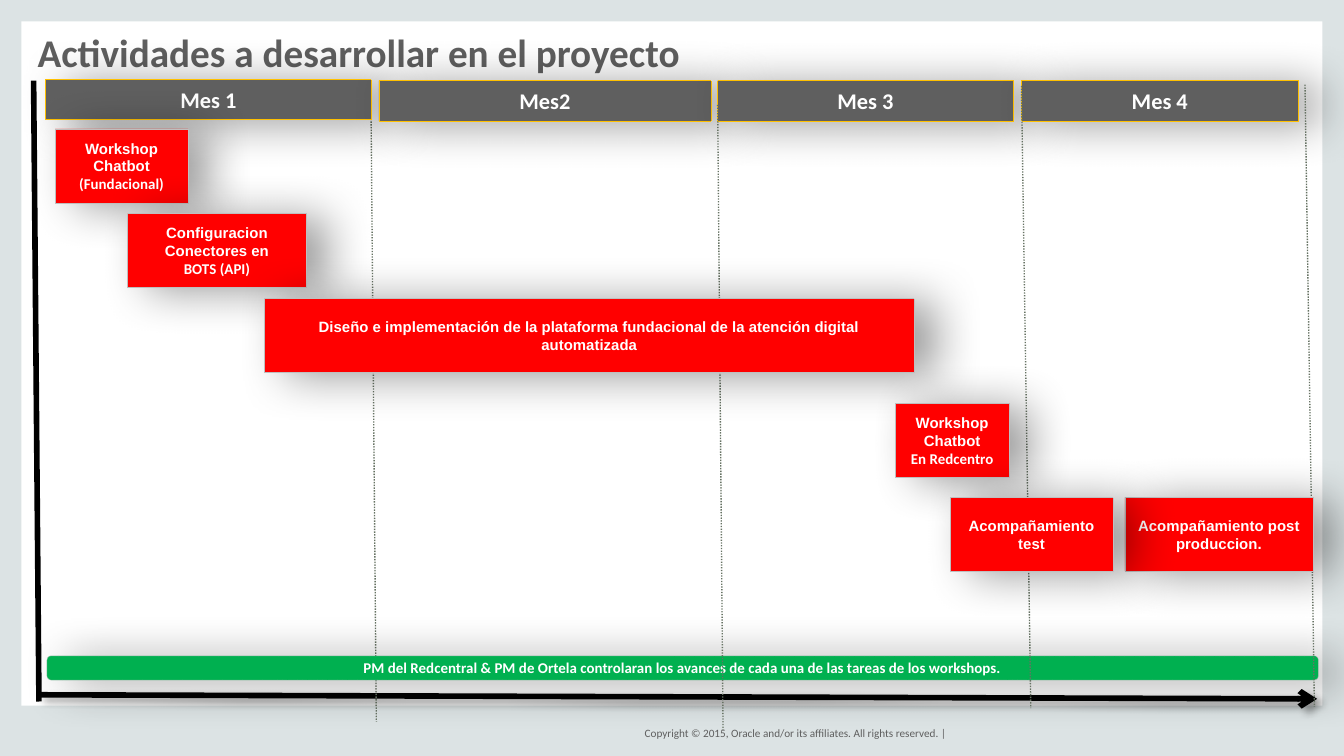
from lxml import etree
from pptx import Presentation
from pptx import util as u
from pptx.dml.color import RGBColor
from pptx.enum import dml, shapes, text
from pptx.oxml.ns import qn

FRAME, GREY, GOLD = "DCE3E4", "5F5F5F", "FFC000"
RED, GREEN, SILVER = "FF0000", "00B050", "BFBFBF"
BLACK, WHITE, DIVIDER = "000000", "FFFFFF", "667263"


def colour(value):
    return RGBColor.from_string(value)


def write(para, words, size=8, font="Calibri", tint=WHITE, bold=True,
          align=text.PP_ALIGN.CENTER):
    para.alignment = align
    span = para.add_run()
    span.text = words
    span.font.size = u.Pt(size)
    span.font.name = font
    span.font.bold = bold
    span.font.color.rgb = colour(tint)


def add_effects(element, blur=None, distance=0, angle=0):
    """Set an outer shadow, or no effect at all when blur is None."""
    effects = etree.SubElement(element._element.spPr, qn("a:effectLst"))
    if blur is not None:
        shadow = etree.SubElement(
            effects, qn("a:outerShdw"), blurRad=str(u.Pt(blur)),
            dist=str(u.Pt(distance)), dir=str(angle * 60000),
            algn="tl", rotWithShape="0")
        tint = etree.SubElement(shadow, qn("a:srgbClr"), val=BLACK)
        etree.SubElement(tint, qn("a:alpha"), val="40000")


class Roadmap:
    """Style and current page of the project plan."""

    def __init__(self, page):
        self.page = page

    def band(self, *place):
        box = self.page.shapes.add_shape(
            shapes.MSO_SHAPE.RECTANGLE, *map(u.Inches, place))
        box.shadow.inherit = False
        box.fill.solid()
        box.fill.fore_color.rgb = colour(FRAME)
        box.line.fill.background()

    def label(self, place, words, anchor, wrap=True, **style):
        box = self.page.shapes.add_textbox(*map(u.Inches, place))
        frame = box.text_frame
        frame.word_wrap = wrap
        frame.vertical_anchor = anchor
        frame.margin_left = frame.margin_right = 0
        frame.margin_top = frame.margin_bottom = 0
        write(frame.paragraphs[0], words, **style)

    def bar(self, place, lines, fill, edge=SILVER, corner=0):
        """Draw a shadowed bar; lines holds (words, format) pairs."""
        box = self.page.shapes.add_shape(
            shapes.MSO_SHAPE.ROUNDED_RECTANGLE, *map(u.Inches, place))
        box.adjustments[0] = corner
        box.fill.solid()
        box.fill.fore_color.rgb = colour(fill)
        box.line.color.rgb = colour(edge)
        box.line.width = u.Pt(0.25)
        box.line.dash_style = dml.MSO_LINE.ROUND_DOT
        add_effects(box, blur=25, distance=11, angle=10)
        frame = box.text_frame
        frame.word_wrap = True
        frame.vertical_anchor = text.MSO_ANCHOR.MIDDLE
        frame.margin_left = frame.margin_right = u.Inches(0.08)
        frame.margin_top = frame.margin_bottom = u.Inches(0.04)
        for index, (words, style) in enumerate(lines):
            para = frame.add_paragraph() if index else frame.paragraphs[0]
            write(para, words, **style)

    def line(self, start, end, tint=BLACK, width=3, dotted=False, arrow=False):
        link = self.page.shapes.add_connector(
            shapes.MSO_CONNECTOR.STRAIGHT, *map(u.Inches, start + end))
        link.line.color.rgb = colour(tint)
        link.line.width = u.Pt(width)
        if dotted:
            link.line.dash_style = dml.MSO_LINE.ROUND_DOT
        if arrow:
            stroke = link._element.spPr.find(qn("a:ln"))
            etree.SubElement(stroke, qn("a:tailEnd"), type="arrow")
            add_effects(link, blur=4, distance=3, angle=45)
        else:
            add_effects(link)

    def divider(self, left, top, right, bottom):
        self.line((left, top), (right, bottom), DIVIDER, 0.75, dotted=True)


def main():
    deck = Presentation()
    deck.slide_width = u.Inches(10)
    deck.slide_height = u.Inches(10) * 9 // 16  # widescreen
    plan = Roadmap(deck.slides.add_slide(deck.slide_layouts[6]))

    # Frame and footer
    for place in ((0, 0, 0.16, 5.62), (9.84, 0, 0.16, 5.62),
                  (0, 5.25, 10, 0.38), (0, 0, 10, 0.16)):
        plan.band(*place)
    plan.label((4.41, 5.38, 2.63, 0.15),
               "Copyright © 2015, Oracle and/or its affiliates. "
               "All rights reserved. |",
               text.MSO_ANCHOR.MIDDLE, wrap=False, size=6, tint=GREY,
               bold=False, align=text.PP_ALIGN.RIGHT)

    # Title
    plan.label((0.28, 0.21, 9.52, 0.36),
               "Actividades a desarrollar en el proyecto",
               text.MSO_ANCHOR.TOP, size=21, tint=GREY,
               align=text.PP_ALIGN.LEFT)

    # Axes and first divider
    plan.line((0.3, 5.17), (9.8, 5.2), arrow=True)
    plan.line((0.25, 0.6), (0.29, 5.22))
    plan.divider(2.76, 0.72, 2.8, 5.37)

    # Control bar
    plan.bar((0.35, 4.88, 9.46, 0.18),
             [("PM del Redcentral & PM de Ortela controlaran los avances de "
               "cada una de las tareas de los workshops.", {})],
             GREEN, corner=0.17)

    # Months
    for name, left, top, width in (("Mes 1", 0.34, 0.59, 2.42),
                                   ("Mes2", 2.82, 0.6, 2.47),
                                   ("Mes 3", 5.34, 0.6, 2.2),
                                   ("Mes 4", 7.6, 0.6, 2.06)):
        plan.bar((left, top, width, 0.3), [(name, {"size": 12})], GREY, GOLD)

    # Remaining dividers
    plan.divider(9.71, 0.63, 9.78, 5.26)
    plan.divider(5.34, 0.78, 5.38, 5.43)
    plan.divider(7.6, 0.64, 7.67, 5.27)

    # Tasks: left, top, width, name, detail
    tasks = (
        (0.41, 0.96, 0.99, "Workshop Chatbot", "(Fundacional)"),
        (0.95, 1.59, 1.33, "Configuracion Conectores en", "BOTS (API)"),
        (1.97, 2.22, 4.83, "Diseño e implementación de la plataforma "
         "fundacional de la atención digital automatizada", None),
        (6.66, 3, 0.85, "Workshop Chatbot", "En Redcentro"),
        (8.37, 3.7, 1.4, "Acompañamiento post produccion.", None),
        (7.07, 3.7, 1.21, "Acompañamiento test", None),
    )
    for left, top, width, name, detail in tasks:
        lines = [(name, {"font": "Arial"})]
        if detail:
            lines.append((detail, {}))
        plan.bar((left, top, width, 0.55), lines, RED)

    deck.save("out.pptx")


if __name__ == "__main__":
    main()
